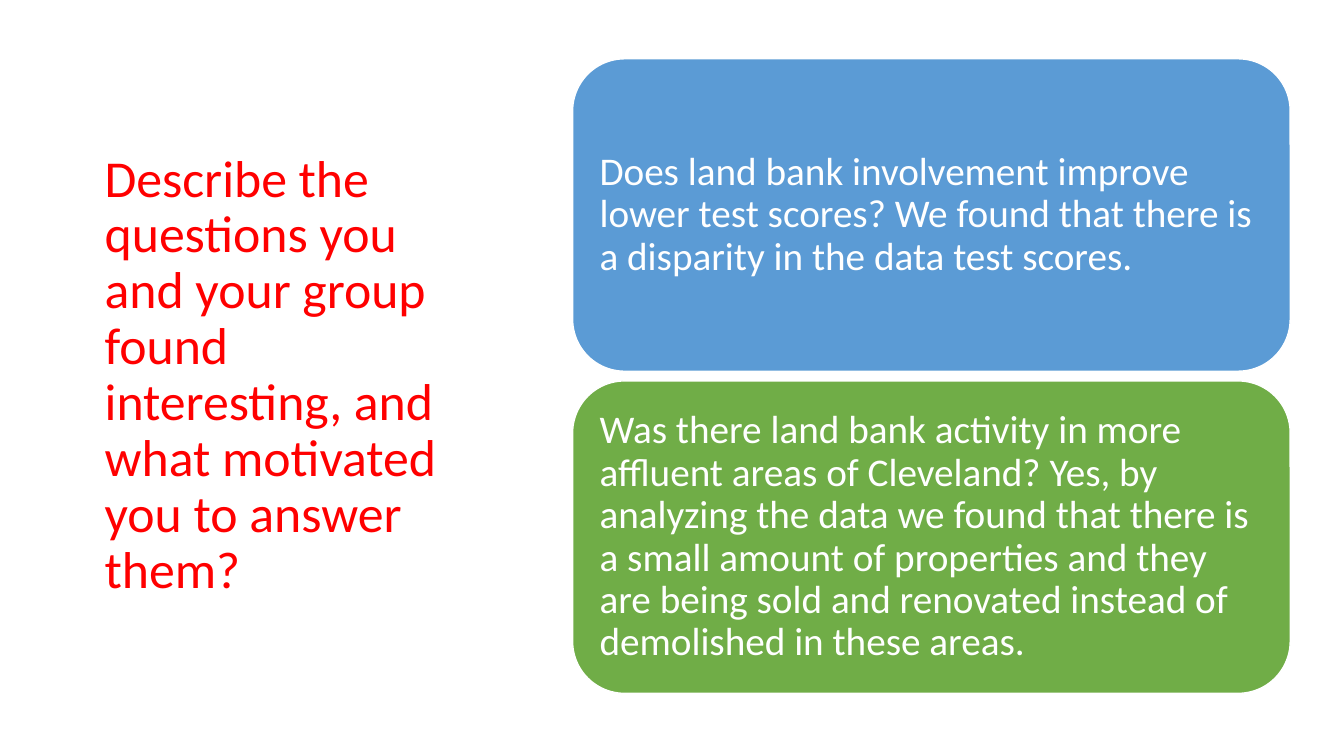
"""Build a slide with a prompt on the left and two answer cards on the right."""
from dataclasses import dataclass

from pptx import Presentation
from pptx.dml.color import RGBColor
from pptx.enum.shapes import MSO_SHAPE
from pptx.enum.text import MSO_ANCHOR, PP_ALIGN
from pptx.util import Pt

ROUNDED = MSO_SHAPE.ROUNDED_RECTANGLE
MIDDLE = MSO_ANCHOR.MIDDLE
LEFT = PP_ALIGN.LEFT

COLORS = {"red": "FF0000", "blue": "5B9BD5", "green": "70AD47", "white": "FFFFFF"}
FONT = "Calibri"
BLANK_LAYOUT = 6

CARD_LEFT, CARD_TOP = 409, 42
CARD_WIDTH, CARD_HEIGHT = 512.6, 223.2
CARD_PITCH = 230.1

PROMPT = (
    "Describe the questions you and your group found interesting, "
    "and what motivated you to answer them?"
)


@dataclass(frozen=True)
class Card:
    text: str
    fill: str


CARDS = [
    Card(
        "Does land bank involvement improve lower test scores? "
        "We found that there is a disparity in the data test scores.",
        "blue",
    ),
    Card(
        "Was there land bank activity in more affluent areas of Cleveland? "
        "Yes, by analyzing the data we found that there is a small amount of "
        "properties and they are being sold and renovated instead of "
        "demolished in these areas.",
        "green",
    ),
]


def color(name: str) -> RGBColor:
    return RGBColor.from_string(COLORS[name])


def write_text(shape, text: str, *, size: float, ink: str,
               side_inset: float, end_inset: float) -> None:
    frame = shape.text_frame
    frame.word_wrap = True
    frame.vertical_anchor = MIDDLE
    frame.margin_left = frame.margin_right = Pt(side_inset)
    frame.margin_top = frame.margin_bottom = Pt(end_inset)
    paragraph = frame.paragraphs[0]
    paragraph.alignment = LEFT
    paragraph.line_spacing = 0.9
    run = paragraph.add_run()
    run.text = text
    run.font.name = FONT
    run.font.size = Pt(size)
    run.font.color.rgb = color(ink)


def add_prompt(slide) -> None:
    shape = slide.shapes.add_textbox(Pt(67.7), Pt(79.9), Pt(269.3), Pt(377.3))
    write_text(shape, PROMPT, size=37, ink="red", side_inset=7.2, end_inset=3.6)


def add_card(slide, card: Card, top: float) -> None:
    shape = slide.shapes.add_shape(
        ROUNDED, Pt(CARD_LEFT), Pt(top), Pt(CARD_WIDTH), Pt(CARD_HEIGHT)
    )
    shape.shadow.inherit = False
    shape.fill.solid()
    shape.fill.fore_color.rgb = color(card.fill)
    shape.line.color.rgb = color("white")
    shape.line.width = Pt(1)
    write_text(shape, card.text, size=28, ink="white", side_inset=8.4, end_inset=8.4)


def main() -> None:
    presentation = Presentation()
    presentation.slide_width, presentation.slide_height = Pt(960), Pt(540)
    slide = presentation.slides.add_slide(presentation.slide_layouts[BLANK_LAYOUT])
    add_prompt(slide)
    for index, card in enumerate(CARDS):
        add_card(slide, card, CARD_TOP + index * CARD_PITCH)
    presentation.save("out.pptx")


if __name__ == "__main__":
    main()
